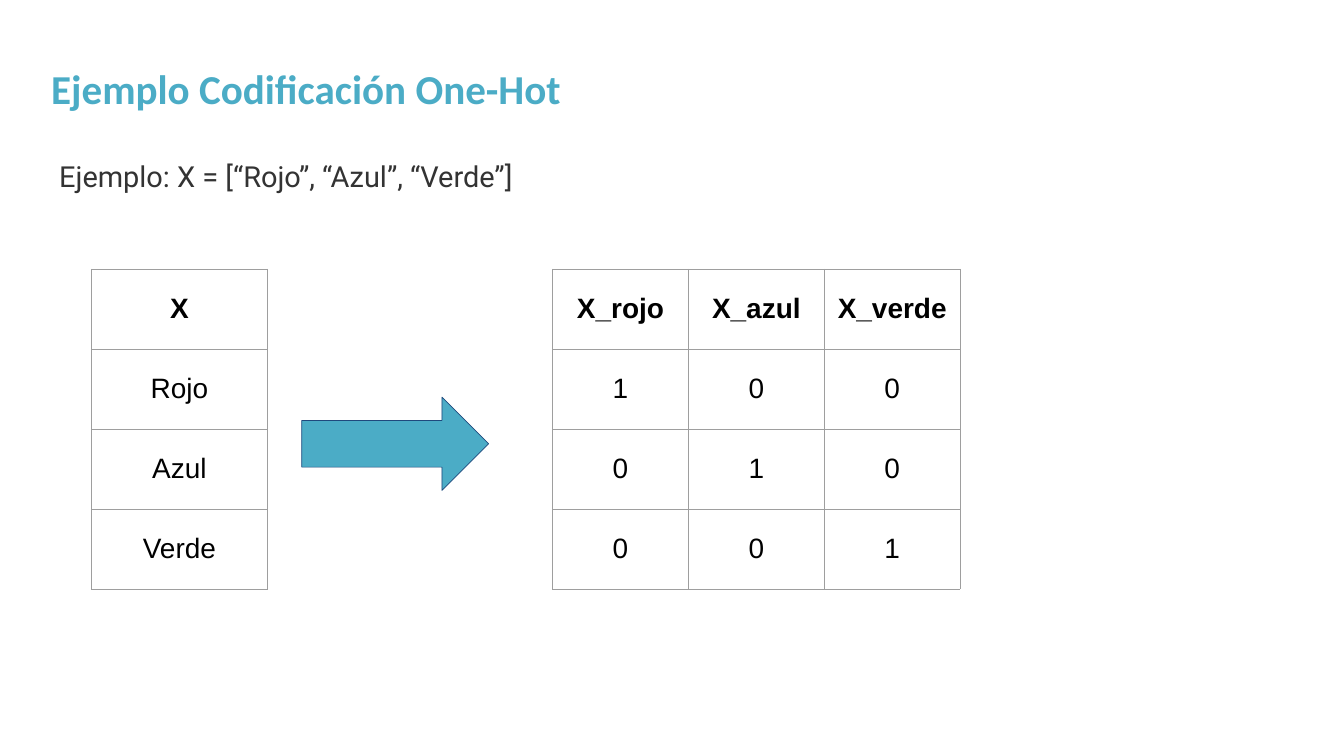
from dataclasses import dataclass

from lxml.etree import SubElement
from pptx import Presentation
from pptx.dml.color import RGBColor
from pptx.enum.shapes import MSO_SHAPE
from pptx.enum.text import MSO_ANCHOR, MSO_AUTO_SIZE, PP_ALIGN
from pptx.oxml.ns import qn
from pptx.util import Pt


@dataclass(frozen=True)
class Theme:
    accent: str = "4BACC6"
    outline: str = "1F497D"
    body: str = "333333"
    cell: str = "000000"
    border: str = "9E9E9E"
    title_font: str = "Calibri"
    body_font: str = "Roboto"
    table_font: str = "Arial"
    title_size: int = 44
    body_size: int = 31
    table_size: int = 30
    line: float = 0.75


class Deck:
    def __init__(self, prs, theme):
        self.theme = theme
        self.s = prs.slides.add_slide(prs.slide_layouts[5])

    def run(self, p, text, font, size, color, bold=False):
        r = p.add_run()
        r.text = text
        r.font.name = font
        r.font.size = Pt(size)
        r.font.bold = bold
        r.font.color.rgb = RGBColor.from_string(color)

    def frame(self, sp, x, y, w, h, inset):
        sp.left, sp.top, sp.width, sp.height = Pt(x), Pt(y), Pt(w), Pt(h)
        tf = sp.text_frame
        tf.word_wrap = True
        tf.auto_size = MSO_AUTO_SIZE.SHAPE_TO_FIT_TEXT
        tf.vertical_anchor = MSO_ANCHOR.TOP
        tf.margin_left = tf.margin_right = Pt(13)
        tf.margin_top = tf.margin_bottom = Pt(inset)
        p = tf.paragraphs[0]
        p.alignment = PP_ALIGN.LEFT
        p.space_before = Pt(0)
        return p

    def title(self, text, x, y, w, h):
        t = self.theme
        p = self.frame(self.s.shapes.title, x, y, w, h, 13)
        self.run(p, text, t.title_font, t.title_size, t.accent, True)

    def text(self, text, x, y, w, h):
        t = self.theme
        sp = self.s.shapes.add_textbox(Pt(x), Pt(y), Pt(w), Pt(h))
        p = self.frame(sp, x, y, w, h, 6.5)
        self.run(p, text, t.body_font, t.body_size, t.body)

    def borders(self, cell):
        tcPr = cell._tc.get_or_add_tcPr()
        for i, side in enumerate(("a:lnL", "a:lnR", "a:lnT", "a:lnB")):
            ln = SubElement(tcPr, qn(side), w=str(Pt(self.theme.line)))
            fill = SubElement(ln, qn("a:solidFill"))
            SubElement(fill, qn("a:srgbClr"), val=self.theme.border)
            tcPr.insert(i, ln)

    def table(self, rows, x, y, col_w, row_h):
        t = self.theme
        n_rows, n_cols = len(rows), len(rows[0])
        tbl = self.s.shapes.add_table(n_rows, n_cols, Pt(x), Pt(y),
                                      Pt(col_w * n_cols), Pt(row_h * n_rows)).table
        tbl.horz_banding = False
        for col in tbl.columns:
            col.width = Pt(col_w)
        for i, values in enumerate(rows):
            tbl.rows[i].height = Pt(row_h)
            for j, value in enumerate(values):
                cell = tbl.cell(i, j)
                cell.fill.background()
                cell.vertical_anchor = MSO_ANCHOR.MIDDLE
                cell.margin_left = cell.margin_right = Pt(7.2)
                cell.margin_top = cell.margin_bottom = Pt(7.2)
                self.borders(cell)
                p = cell.text_frame.paragraphs[0]
                p.alignment = PP_ALIGN.CENTER
                self.run(p, value, t.table_font, t.table_size, t.cell, i == 0)

    def arrow(self, x, y, w, h):
        sp = self.s.shapes.add_shape(MSO_SHAPE.RIGHT_ARROW, Pt(x), Pt(y), Pt(w), Pt(h))
        sp.shadow.inherit = False
        sp.fill.solid()
        sp.fill.fore_color.rgb = RGBColor.from_string(self.theme.accent)
        sp.line.color.rgb = RGBColor.from_string(self.theme.outline)
        sp.line.width = Pt(self.theme.line)


def main():
    prs = Presentation()
    prs.slide_width, prs.slide_height = Pt(1440), Pt(810)
    deck = Deck(prs, Theme())
    colors = ["Rojo", "Azul", "Verde"]
    one_hot = [[str(int(a == b)) for b in colors] for a in colors]
    table_y, row_h = 288.5, 85.7

    deck.text("Ejemplo: X = [“Rojo”, “Azul”, “Verde”]", 50.4, 163.4, 1301.8, 51)
    deck.title("Ejemplo Codificación One-Hot", 41.8, 55.4, 1232, 80)
    deck.table([["X"]] + [[c] for c in colors], 98, table_y, 188.5, row_h)
    deck.table([[f"X_{c.lower()}" for c in colors]] + one_hot, 592, table_y, 145.6, row_h)
    deck.arrow(323.3, 425.5, 200.2, 100)
    prs.save("out.pptx")


if __name__ == "__main__":
    main()
